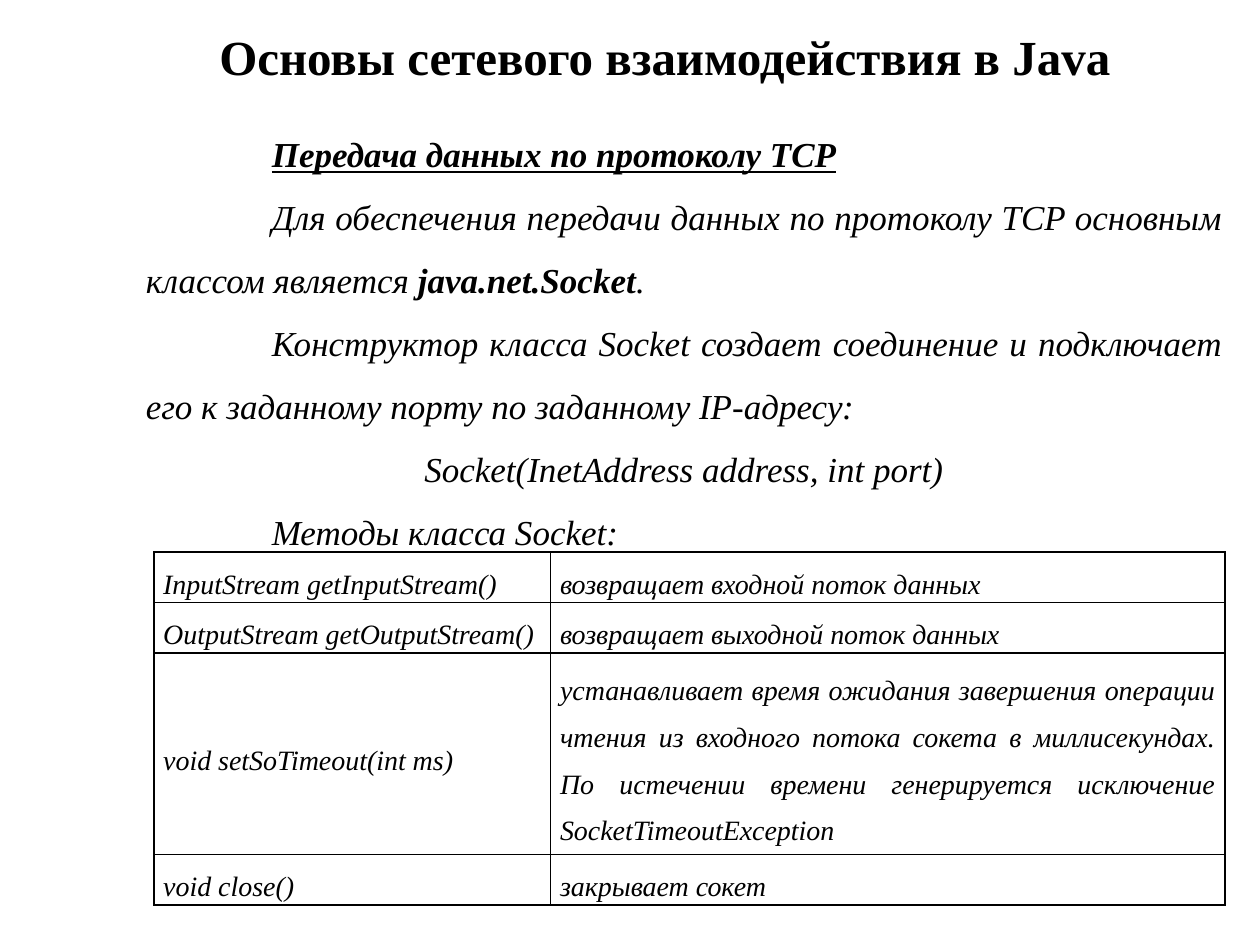
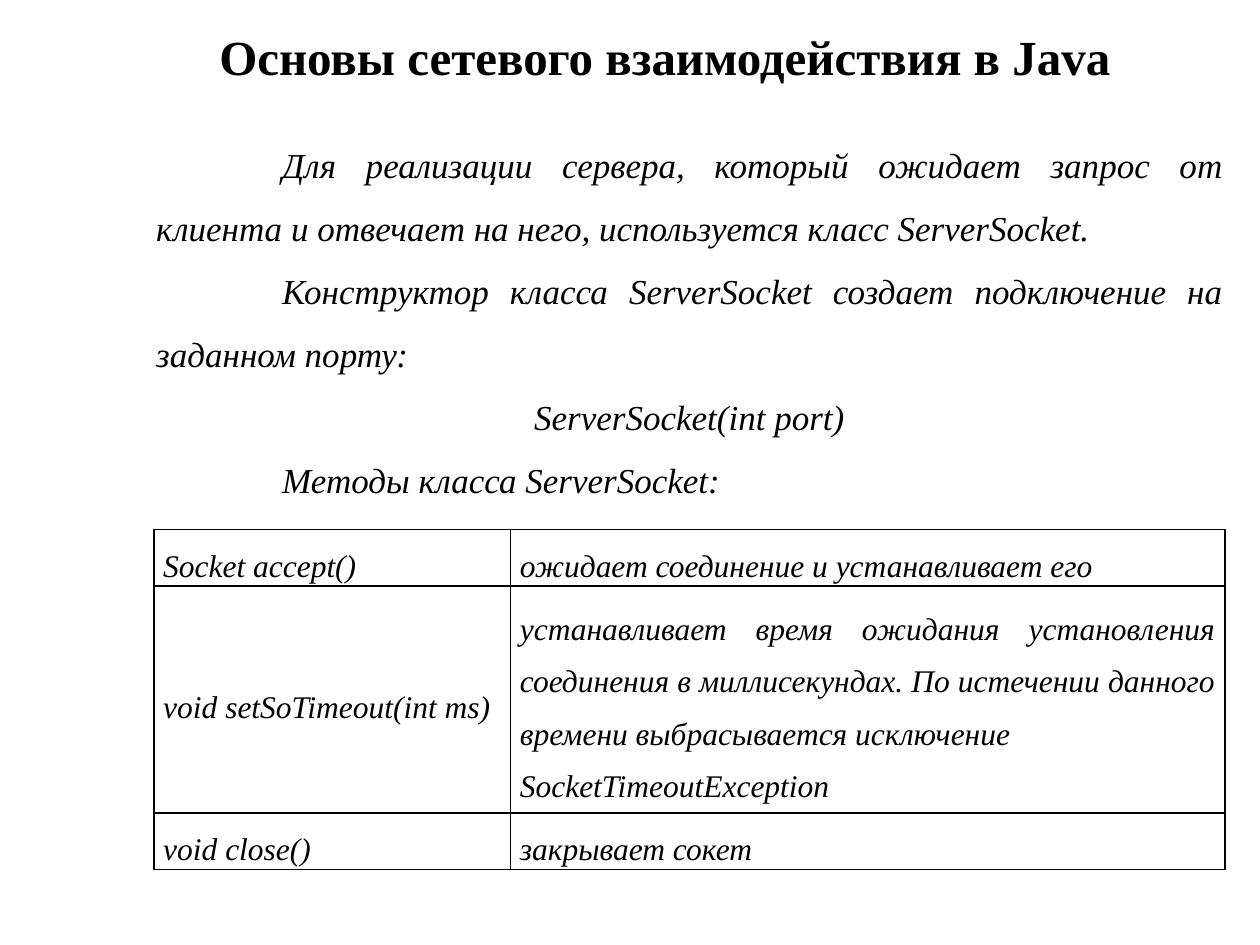
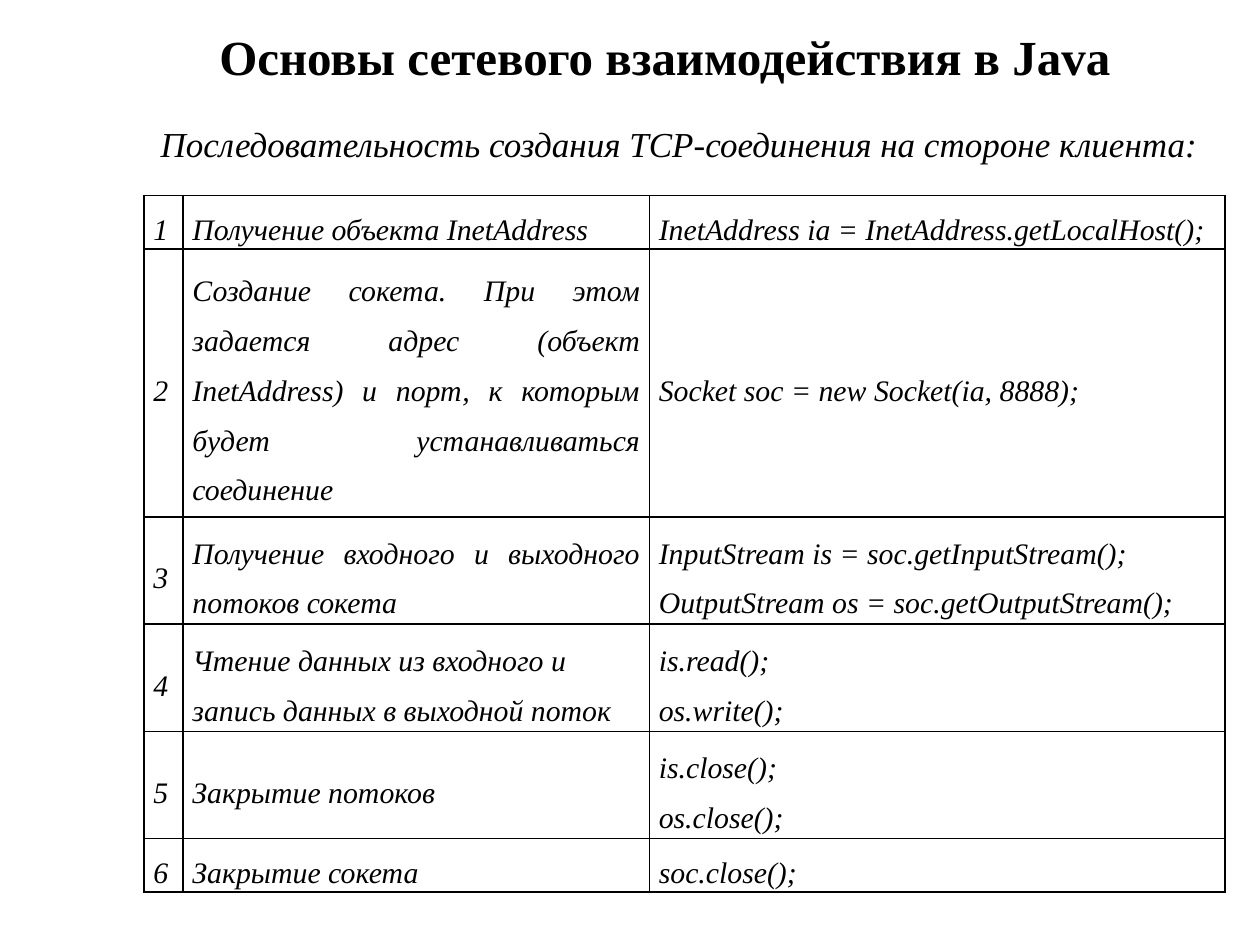
from dataclasses import dataclass

from lxml.etree import SubElement
from pptx import Presentation
from pptx.dml.color import RGBColor
from pptx.enum.text import MSO_ANCHOR, MSO_AUTO_SIZE, PP_ALIGN
from pptx.oxml.ns import qn
from pptx.util import Cm, Pt

# Shared look
FONT = "Times New Roman"
BLACK = "000000"
TITLE = "Основы сетевого взаимодействия в Java"
TITLE_SIZE = 28
BODY_SIZE = 20
LINE_SPACING = 1.5
FIRST_INDENT = 2.54
ROW_PER_POINT = 0.0635  # row height in cm for each text line and point of size
CELL_SIDE = 0.19


@dataclass
class Span:
    text: str
    bold: bool = False
    underline: bool = False


@dataclass
class Para:
    spans: list[Span]
    centered: bool = False


@dataclass
class Body:
    left: float
    top: float
    width: float
    height: float
    paras: list[Para]


@dataclass
class Grid:
    left: float
    top: float
    widths: list[float]
    size: int
    lines: list[int]  # text lines in each row
    rows: list[list[str]]


@dataclass
class Page:
    body: Body
    grid: Grid


def color(value: str) -> RGBColor:
    return RGBColor.from_string(value)


def add_span(para, text: str, *, size: int, bold: bool = False,
             italic: bool = True, underline: bool = False) -> None:
    span = para.add_run()
    span.text = text
    font = span.font
    font.name = FONT
    font.size = Pt(size)
    font.bold = bold
    font.italic = italic
    font.underline = underline
    font.color.rgb = color(BLACK)


def add_title(page) -> None:
    title = page.shapes.title
    title.left, title.top = Cm(3.1), Cm(0.53)
    title.width, title.height = Cm(20.6), Cm(1.19)
    frame = title.text_frame
    frame.auto_size = MSO_AUTO_SIZE.NONE
    frame.vertical_anchor = MSO_ANCHOR.MIDDLE
    para = frame.paragraphs[0]
    para.alignment = PP_ALIGN.CENTER
    add_span(para, TITLE, size=TITLE_SIZE, bold=True, italic=False)


def add_body(page, body: Body) -> None:
    box = page.shapes.add_textbox(Cm(body.left), Cm(body.top),
                                  Cm(body.width), Cm(body.height))
    frame = box.text_frame
    frame.word_wrap = True
    frame.auto_size = MSO_AUTO_SIZE.SHAPE_TO_FIT_TEXT
    for index, item in enumerate(body.paras):
        para = frame.add_paragraph() if index else frame.paragraphs[0]
        if len(body.paras) > 1:
            para.line_spacing = LINE_SPACING
        if item.centered:
            para.alignment = PP_ALIGN.CENTER
        else:
            para.alignment = PP_ALIGN.JUSTIFY
            para._p.get_or_add_pPr().set("indent", str(Cm(FIRST_INDENT)))
        for span in item.spans:
            add_span(para, span.text, size=BODY_SIZE, bold=span.bold,
                     underline=span.underline)


def add_borders(cell) -> None:
    properties = cell._tc.get_or_add_tcPr()
    for position, side in enumerate(("lnL", "lnR", "lnT", "lnB")):
        line = SubElement(properties, qn(f"a:{side}"), w=str(Pt(1)))
        fill = SubElement(line, qn("a:solidFill"))
        SubElement(fill, qn("a:srgbClr"), val=BLACK)
        properties.insert(position, line)  # borders come before the fill


def fill_cell(cell, text: str, *, size: int) -> None:
    cell.fill.background()
    cell.vertical_anchor = MSO_ANCHOR.MIDDLE
    cell.margin_left = cell.margin_right = Cm(CELL_SIDE)
    cell.margin_top = cell.margin_bottom = 0
    frame = cell.text_frame
    for index, line in enumerate(text.split("\n")):
        para = frame.add_paragraph() if index else frame.paragraphs[0]
        para.alignment = PP_ALIGN.JUSTIFY
        para.line_spacing = LINE_SPACING
        add_span(para, line, size=size)
    add_borders(cell)


def add_grid(page, grid: Grid) -> None:
    heights = [count * grid.size * ROW_PER_POINT for count in grid.lines]
    table = page.shapes.add_table(
        len(grid.rows), len(grid.widths), Cm(grid.left), Cm(grid.top),
        Cm(sum(grid.widths)), Cm(sum(heights))).table
    table.first_row = table.horz_banding = False
    for column, width in zip(table.columns, grid.widths):
        column.width = Cm(width)
    for row, height, texts in zip(table.rows, heights, grid.rows):
        row.height = Cm(height)
        for cell, text in zip(row.cells, texts):
            fill_cell(cell, text, size=grid.size)


# Client socket class
SOCKET = Page(
    Body(2.69, 2.13, 22.2, 9.25, [
        Para([Span("Передача данных по протоколу TCP", bold=True, underline=True)]),
        Para([Span("Для обеспечения передачи данных по протоколу TCP "
                   "основным классом является "),
              Span("java.net.Socket", bold=True), Span(".")]),
        Para([Span("Конструктор класса Socket создает соединение и подключает "
                   "его к заданному порту по заданному IP-адресу:")]),
        Para([Span("Socket(InetAddress address, int port)")], centered=True),
        Para([Span("Методы класса Socket:")]),
    ]),
    Grid(3.1, 11.13, [8, 13.59], 16, [1, 1, 4, 1], [
        ["InputStream getInputStream()", "возвращает входной поток данных"],
        ["OutputStream getOutputStream()", "возвращает выходной поток данных"],
        ["void setSoTimeout(int ms)",
         "устанавливает время ожидания завершения операции чтения из входного "
         "потока сокета в миллисекундах. По истечении времени генерируется "
         "исключение SocketTimeoutException"],
        ["void close()", "закрывает сокет"],
    ]),
)

# Server socket class
SERVER_SOCKET = Page(
    Body(2.9, 2.34, 22, 7.95, [
        Para([Span("Для реализации сервера, который ожидает запрос от клиента "
                   "и отвечает на него, используется класс ServerSocket.")]),
        Para([Span("Конструктор класса ServerSocket создает подключение "
                   "на заданном порту:")]),
        Para([Span("ServerSocket(int port)")], centered=True),
        Para([Span("Методы класса ServerSocket:")]),
    ]),
    Grid(3.1, 10.67, [7.19, 14.4], 18, [1, 4, 1], [
        ["Socket accept()", "ожидает соединение и устанавливает его"],
        ["void setSoTimeout(int ms)",
         "устанавливает время ожидания установления соединения в миллисекундах. "
         "По истечении данного времени выбрасывается исключение\n"
         "SocketTimeoutException"],
        ["void close()", "закрывает сокет"],
    ]),
)

# Steps of a client connection
CLIENT_STEPS = Page(
    Body(2.69, 2.34, 22, 1.12, [
        Para([Span("Последовательность создания TCP-соединения "
                   "на стороне клиента:")], centered=True),
    ]),
    Grid(2.9, 3.94, [0.79, 9.4, 11.6], 17, [1, 5, 2, 2, 2, 1], [
        ["1", "Получение объекта InetAddress",
         "InetAddress ia = InetAddress.getLocalHost();"],
        ["2", "Создание сокета. При этом задается адрес (объект InetAddress) "
         "и порт, к которым будет устанавливаться соединение",
         "Socket soc = new Socket(ia, 8888);"],
        ["3", "Получение входного и выходного потоков сокета",
         "InputStream is = soc.getInputStream();\n"
         "OutputStream os = soc.getOutputStream();"],
        ["4", "Чтение данных из входного и\nзапись данных в выходной поток",
         "is.read();\nos.write();"],
        ["5", "Закрытие потоков", "is.close();\nos.close();"],
        ["6", "Закрытие сокета", "soc.close();"],
    ]),
)

deck = Presentation()
deck.slide_width, deck.slide_height = Cm(25.4), Cm(19.05)
title_only = deck.slide_layouts[5]
for content in (SOCKET, SERVER_SOCKET, CLIENT_STEPS):
    page = deck.slides.add_slide(title_only)
    add_title(page)
    add_body(page, content.body)
    add_grid(page, content.grid)
deck.save("out.pptx")
